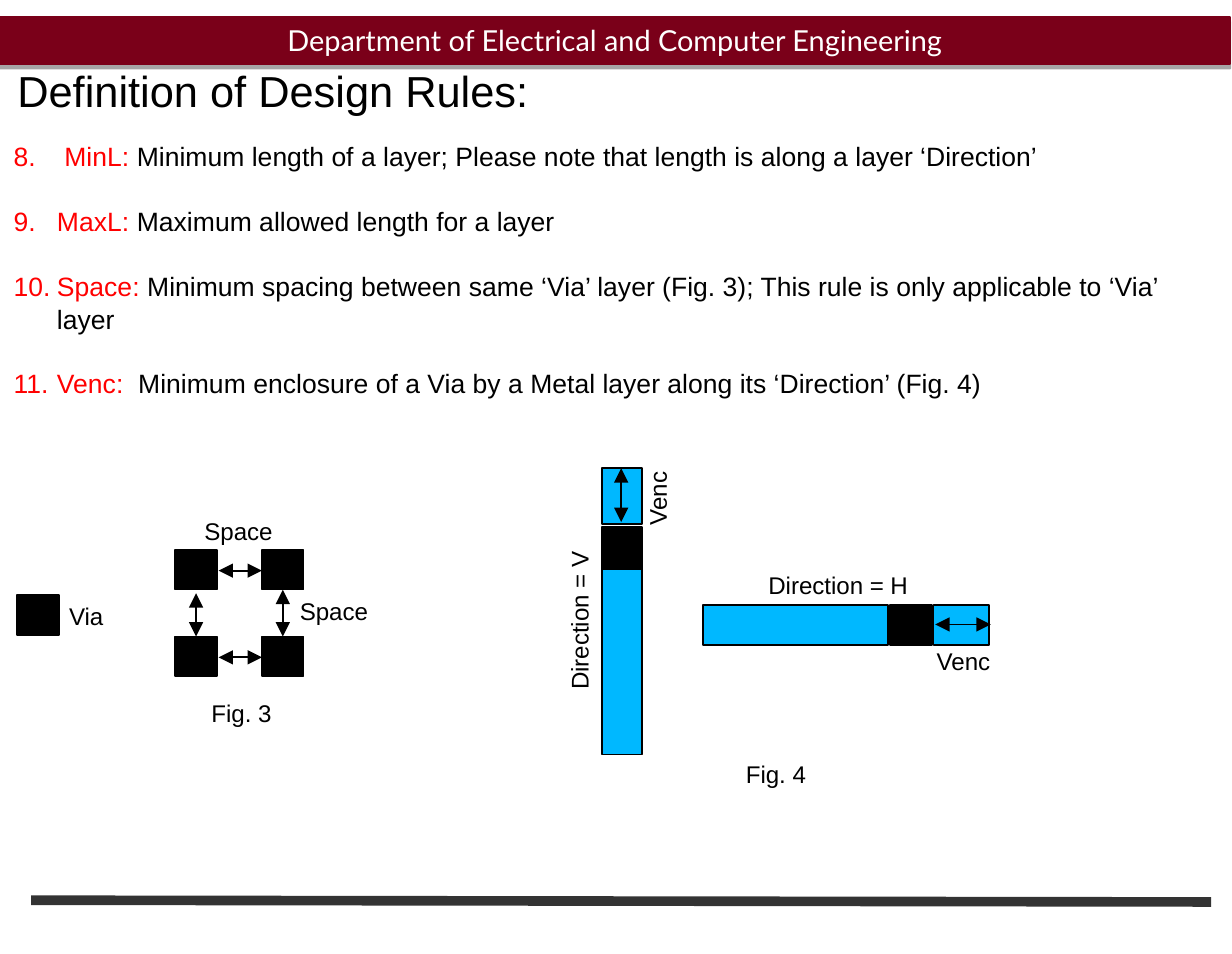
"""Build the design rules slide with its via spacing and enclosure figures."""
from dataclasses import dataclass
from itertools import product

from lxml import etree
from pptx import Presentation
from pptx import util as u
from pptx.dml.color import RGBColor
from pptx.enum import shapes, text
from pptx.oxml import ns


@dataclass(frozen=True)
class Theme:
    font: str = "Arial"
    band_font: str = "Lato"
    black: str = "000000"
    white: str = "FFFFFF"
    maroon: str = "7A0019"
    red: str = "FF0000"
    metal: str = "00B8FF"
    rule: str = "333333"
    title_size: float = 18
    band_size: float = 12
    body_size: float = 11
    label_size: float = 10
    outline: float = 0.75


@dataclass(frozen=True)
class DesignRule:
    term: str
    meaning: str


@dataclass(frozen=True)
class Box:
    left: float
    top: float
    width: float
    height: float
    color: str


@dataclass(frozen=True)
class Arrow:
    x1: float
    y1: float
    x2: float
    y2: float


@dataclass(frozen=True)
class Label:
    caption: str
    left: float
    top: float
    width: float
    rotation: float = 0


THEME = Theme()
VIA_WIDTH, VIA_HEIGHT, LABEL_HEIGHT = 0.24, 0.23, 0.27
FIRST_RULE = 8

DESIGN_RULES = [
    DesignRule(" MinL:", " Minimum length of a layer; Please note that length is along a layer ‘Direction’"),
    DesignRule("MaxL: ", "Maximum allowed length for a layer"),
    DesignRule("Space:", " Minimum spacing between same ‘Via’ layer (Fig. 3); "
                         "This rule is only applicable to ‘Via’ layer"),
    DesignRule("Venc:", "  Minimum enclosure of a Via by a Metal layer along its ‘Direction’ (Fig. 4)"),
]
VIA_CORNERS = [(0.1, 3.43), *product((1.01, 1.51), (3.17, 3.67)), (5.13, 3.49)]
BOXES = [Box(left, top, VIA_WIDTH, VIA_HEIGHT, THEME.black) for left, top in VIA_CORNERS] + [
    Box(4.05, 3.49, 1.07, VIA_HEIGHT, THEME.metal),
    Box(5.38, 3.49, 0.32, VIA_HEIGHT, THEME.metal),
    Box(3.47, 3.04, VIA_HEIGHT, VIA_WIDTH, THEME.black),
    Box(3.47, 3.28, VIA_HEIGHT, 1.07, THEME.metal),
    Box(3.47, 2.7, VIA_HEIGHT, 0.32, THEME.metal),
]
ARROWS = [
    Arrow(1.63, 3.67, 1.63, 3.4),
    Arrow(1.13, 3.67, 1.13, 3.42),
    Arrow(1.26, 3.29, 1.51, 3.29),
    Arrow(1.26, 3.79, 1.51, 3.79),
    Arrow(5.39, 3.6, 5.71, 3.6),
    Arrow(3.58, 3.01, 3.58, 2.7),
]
LABELS = [
    Label("Via", 0.3, 3.42, 0.4),
    Label("Space", 1.63, 3.39, 0.59),
    Label("Space", 1.08, 2.93, 0.59),
    Label("Fig. 3", 1.12, 3.98, 0.55),
    Label("Fig. 4", 4.2, 4.33, 0.55),
    Label("Venc", 5.3, 3.68, 0.52),
    Label("Direction = H", 4.33, 3.24, 1.01),
    Label("Venc", 3.53, 2.73, 0.52, 270),
    Label("Direction = V", 2.84, 3.44, 1, 270),
]


def style_font(font, size: float, color: str, name: str = THEME.font) -> None:
    font.size = u.Pt(size)
    font.name = name
    font.color.rgb = RGBColor.from_string(color)


def set_insets(frame, horizontal: float, vertical: float) -> None:
    frame.margin_left = frame.margin_right = u.Inches(horizontal)
    frame.margin_top = frame.margin_bottom = u.Inches(vertical)


def add_box(slide, box: Box, outline: str = THEME.black):
    shape = slide.shapes.add_shape(shapes.MSO_SHAPE.RECTANGLE, u.Inches(box.left), u.Inches(box.top),
                                   u.Inches(box.width), u.Inches(box.height))
    shape.shadow.inherit = False
    shape.fill.solid()
    shape.fill.fore_color.rgb = RGBColor.from_string(box.color)
    shape.line.color.rgb = RGBColor.from_string(outline)
    shape.line.width = u.Pt(THEME.outline)
    return shape


def add_line(slide, arrow: Arrow, color: str, width: float):
    connector = slide.shapes.add_connector(
        shapes.MSO_CONNECTOR.STRAIGHT, u.Inches(arrow.x1), u.Inches(arrow.y1),
        u.Inches(arrow.x2), u.Inches(arrow.y2))
    connector.line.color.rgb = RGBColor.from_string(color)
    connector.line.width = u.Pt(width)
    etree.SubElement(connector._element.spPr, ns.qn("a:effectLst"))
    return connector


def add_arrow(slide, arrow: Arrow) -> None:
    line = add_line(slide, arrow, THEME.black, THEME.outline).line
    for end in ("a:headEnd", "a:tailEnd"):
        etree.SubElement(line._get_or_add_ln(), ns.qn(end), type="triangle")


def add_label(slide, label: Label) -> None:
    shape = slide.shapes.add_textbox(u.Inches(label.left), u.Inches(label.top),
                                     u.Inches(label.width), u.Inches(LABEL_HEIGHT))
    shape.rotation = label.rotation
    shape.text_frame.word_wrap = False
    paragraph = shape.text_frame.paragraphs[0]
    paragraph.text = label.caption
    style_font(paragraph.font, THEME.label_size, THEME.black)


def add_band(slide) -> None:
    shape = add_box(slide, Box(0, 0.1, 7.09, 0.27, THEME.maroon), THEME.maroon)
    effects = shape._element.spPr.find(ns.qn("a:effectLst"))
    shadow = etree.SubElement(effects, ns.qn("a:outerShdw"), dist=str(u.Pt(1.8)), dir="5400000",
                              algn="t", rotWithShape="0")
    color = etree.SubElement(shadow, ns.qn("a:srgbClr"), val=THEME.black)
    etree.SubElement(color, ns.qn("a:alpha"), val="35000")
    frame = shape.text_frame
    frame.vertical_anchor = text.MSO_ANCHOR.BOTTOM
    set_insets(frame, 0.07, 0.04)
    paragraph = frame.paragraphs[0]
    paragraph.text = "Department of Electrical and Computer Engineering"
    paragraph.alignment = text.PP_ALIGN.CENTER
    style_font(paragraph.font, THEME.band_size, THEME.white, THEME.band_font)


def format_title(slide) -> None:
    title = slide.shapes.title
    title.left, title.top = u.Inches(0.1), u.Inches(0.08)
    title.width, title.height = u.Inches(6.86), u.Inches(0.92)
    frame = title.text_frame
    frame.vertical_anchor = text.MSO_ANCHOR.MIDDLE
    set_insets(frame, 0, 0)
    paragraph = frame.paragraphs[0]
    paragraph.text = "Definition of Design Rules:"
    paragraph.alignment = text.PP_ALIGN.LEFT
    paragraph.line_spacing = 0.9
    style_font(paragraph.font, THEME.title_size, THEME.black)


def add_design_rules(slide) -> None:
    frame = slide.shapes.add_textbox(u.Inches(-0.02), u.Inches(0.75), u.Inches(7.11), u.Inches(2.14)).text_frame
    frame.word_wrap = True
    for index, rule in enumerate(DESIGN_RULES):
        paragraph = frame.add_paragraph() if index else frame.paragraphs[0]
        paragraph.line_spacing = 1.04
        paragraph.space_after = u.Pt(13.2)
        for words, color in ((rule.term, THEME.red), (rule.meaning, THEME.black)):
            run = paragraph.add_run()
            run.text = words
            style_font(run.font, THEME.body_size, color)
        properties = paragraph._p.get_or_add_pPr()
        properties.set("marL", str(u.Inches(0.25)))
        properties.set("indent", str(u.Inches(-0.25)))
        bullet_color = etree.SubElement(properties, ns.qn("a:buClr"))
        etree.SubElement(bullet_color, ns.qn("a:srgbClr"), val=THEME.red)
        etree.SubElement(properties, ns.qn("a:buFont"), typeface=THEME.font)
        etree.SubElement(properties, ns.qn("a:buAutoNum"), type="arabicPeriod", startAt=str(FIRST_RULE))


def main() -> None:
    presentation = Presentation()
    presentation.slide_width, presentation.slide_height = u.Inches(7.1), u.Inches(5.5)
    slide = presentation.slides.add_slide(presentation.slide_layouts.get_by_name("Title Only"))
    add_line(slide, Arrow(0.18, 5.19, 6.98, 5.2), THEME.rule, 4)
    add_band(slide)
    format_title(slide)
    add_design_rules(slide)
    for items, draw in ((BOXES, add_box), (ARROWS, add_arrow), (LABELS, add_label)):
        for item in items:
            draw(slide, item)
    presentation.save("out.pptx")


if __name__ == "__main__":
    main()
